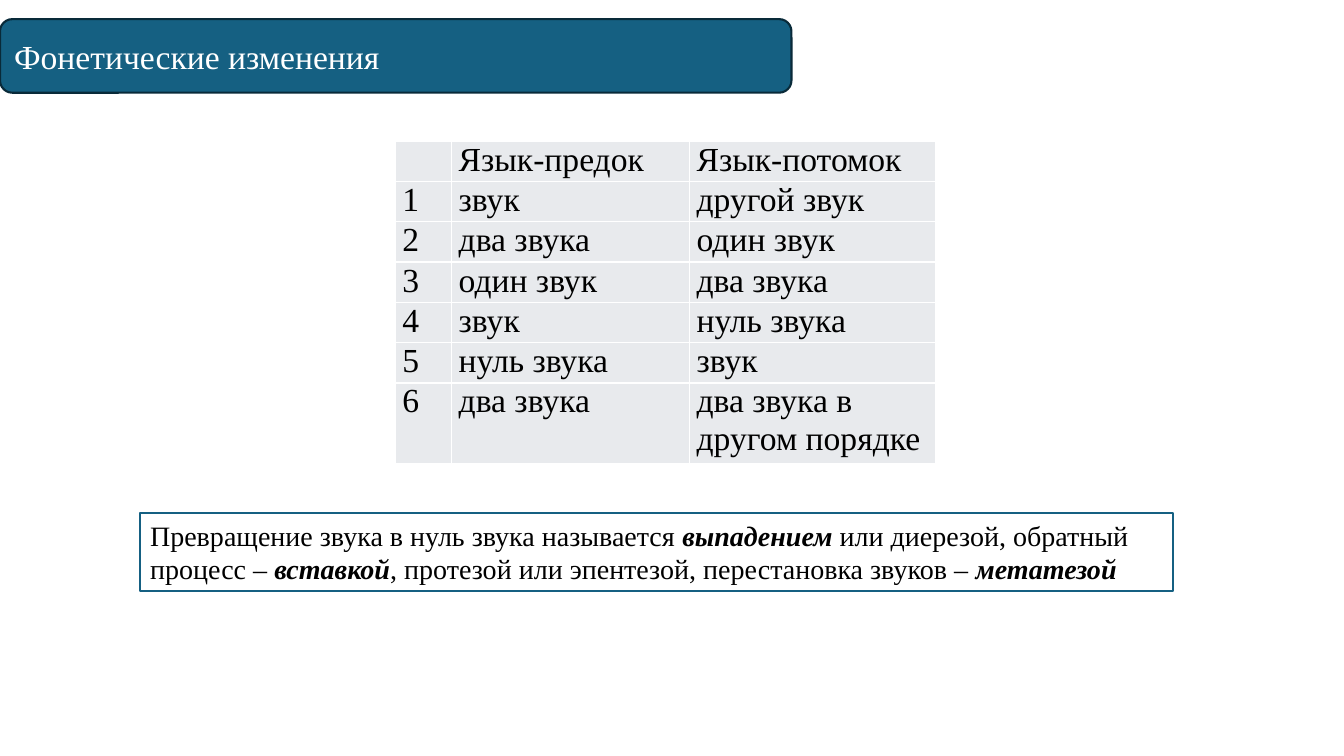
"""Build a slide on phonetic changes: heading bar, table and definition box."""
from lxml import etree
from pptx import Presentation
from pptx import util as u
from pptx.dml.color import RGBColor
from pptx.enum import shapes, text
from pptx.oxml.ns import qn

HEADING = "Фонетические изменения"
CHANGES = [
    ("", "Язык-предок", "Язык-потомок"),
    ("1", "звук", "другой звук"),
    ("2", "два звука", "один звук"),
    ("3", "один звук", "два звука"),
    ("4", "звук", "нуль звука"),
    ("5", "нуль звука", "звук"),
    ("6", "два звука", "два звука в другом порядке"),
]
DEFINITION = [
    ("Превращение звука в нуль звука называется ", False),
    ("выпадением", True),
    (" или диерезой, обратный процесс – ", False),
    ("вставкой", True),
    (", протезой или эпентезой, перестановка звуков – ", False),
    ("метатезой", True),
]
FONT = "Times New Roman"
BLUE, NAVY, GREY, WHITE, BLACK = "156082", "092A39", "E8EAED", "FFFFFF", "000000"
COLUMNS = (0.56, 2.36, 2.44)
ROW = 0.4
BAR = [u.Inches(n) for n in (0, 0.19, 7.85, 0.73)]


def color(hex_value):
    return RGBColor.from_string(hex_value)


def style_text(paragraph, size, hex_value):
    paragraph.alignment = text.PP_ALIGN.LEFT
    font = paragraph.font
    font.name, font.size = FONT, u.Pt(size)
    font.color.rgb = color(hex_value)


def add_panel(slide, preset, box, fill, outline):
    panel = slide.shapes.add_shape(preset, *box)
    panel.shadow.inherit = False
    panel.fill.solid()
    panel.fill.fore_color.rgb = color(fill)
    panel.line.color.rgb = color(outline)
    panel.line.width = u.Pt(1.5)
    return panel


def add_borders(cell, hex_value):
    properties = cell._tc.get_or_add_tcPr()
    for index, side in enumerate(("lnL", "lnR", "lnT", "lnB")):
        border = etree.Element(qn(f"a:{side}"), w=str(u.Pt(1)))
        fill = etree.SubElement(border, qn("a:solidFill"))
        etree.SubElement(fill, qn("a:srgbClr"), val=hex_value)
        properties.insert(index, border)


def add_heading(slide):
    add_panel(slide, shapes.MSO_SHAPE.ROUNDED_RECTANGLE, BAR, BLUE, NAVY)
    title = slide.shapes.title
    title.left, title.top, title.width, title.height = BAR
    slide.shapes._spTree.append(title._element)
    frame = title.text_frame
    frame.text = HEADING
    frame.auto_size = text.MSO_AUTO_SIZE.NONE
    frame.vertical_anchor = text.MSO_ANCHOR.MIDDLE
    frame.margin_left = u.Inches(0.14)
    style_text(frame.paragraphs[0], 24, WHITE)


def add_changes(slide):
    row_heights = [ROW] * (len(CHANGES) - 1) + [2 * ROW]
    table = slide.shapes.add_table(
        len(CHANGES), len(COLUMNS), u.Inches(3.92), u.Inches(1.4),
        u.Inches(sum(COLUMNS)), u.Inches(sum(row_heights))).table
    for column, width in zip(table.columns, COLUMNS):
        column.width = u.Inches(width)
    for row, height, words in zip(table.rows, row_heights, CHANGES):
        row.height = u.Inches(height)
        for cell, word in zip(row.cells, words):
            cell.text = word
            cell.margin_left = cell.margin_right = u.Inches(0.07)
            cell.margin_top = cell.margin_bottom = 0
            cell.fill.solid()
            cell.fill.fore_color.rgb = color(GREY)
            add_borders(cell, WHITE)
            style_text(cell.text_frame.paragraphs[0], 24, BLACK)


def add_definition(slide):
    box = [u.Inches(n) for n in (1.39, 5.09, 10.24, 0.77)]
    panel = add_panel(slide, shapes.MSO_SHAPE.RECTANGLE, box, WHITE, BLUE)
    frame = panel.text_frame
    frame.word_wrap = True
    frame.vertical_anchor = text.MSO_ANCHOR.TOP
    paragraph = frame.paragraphs[0]
    style_text(paragraph, 20, BLACK)
    for words, is_term in DEFINITION:
        run = paragraph.add_run()
        run.text = words
        if is_term:
            run.font.bold = run.font.italic = True


def main():
    deck = Presentation()
    deck.slide_width, deck.slide_height = u.Inches(13.33), u.Inches(7.5)
    slide = deck.slides.add_slide(deck.slide_layouts[5])
    add_definition(slide)
    add_heading(slide)
    add_changes(slide)
    deck.save("out.pptx")


if __name__ == "__main__":
    main()
